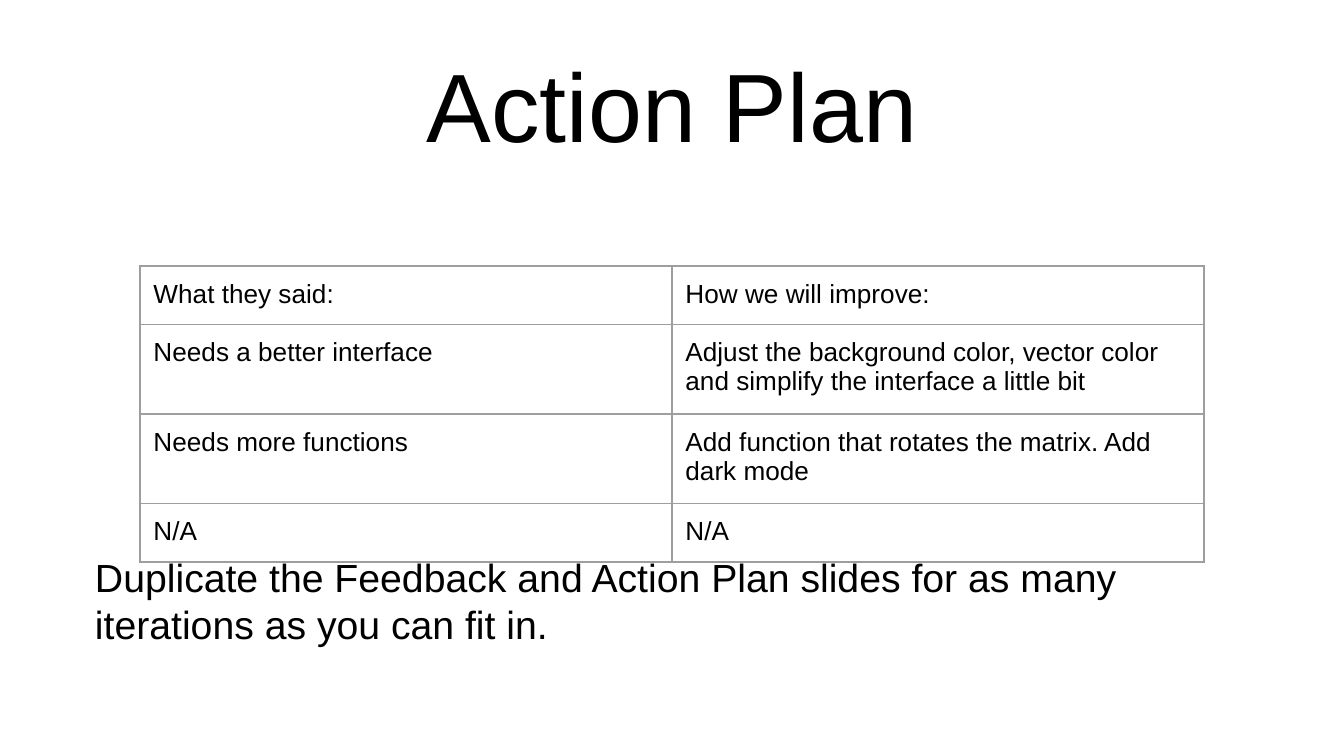
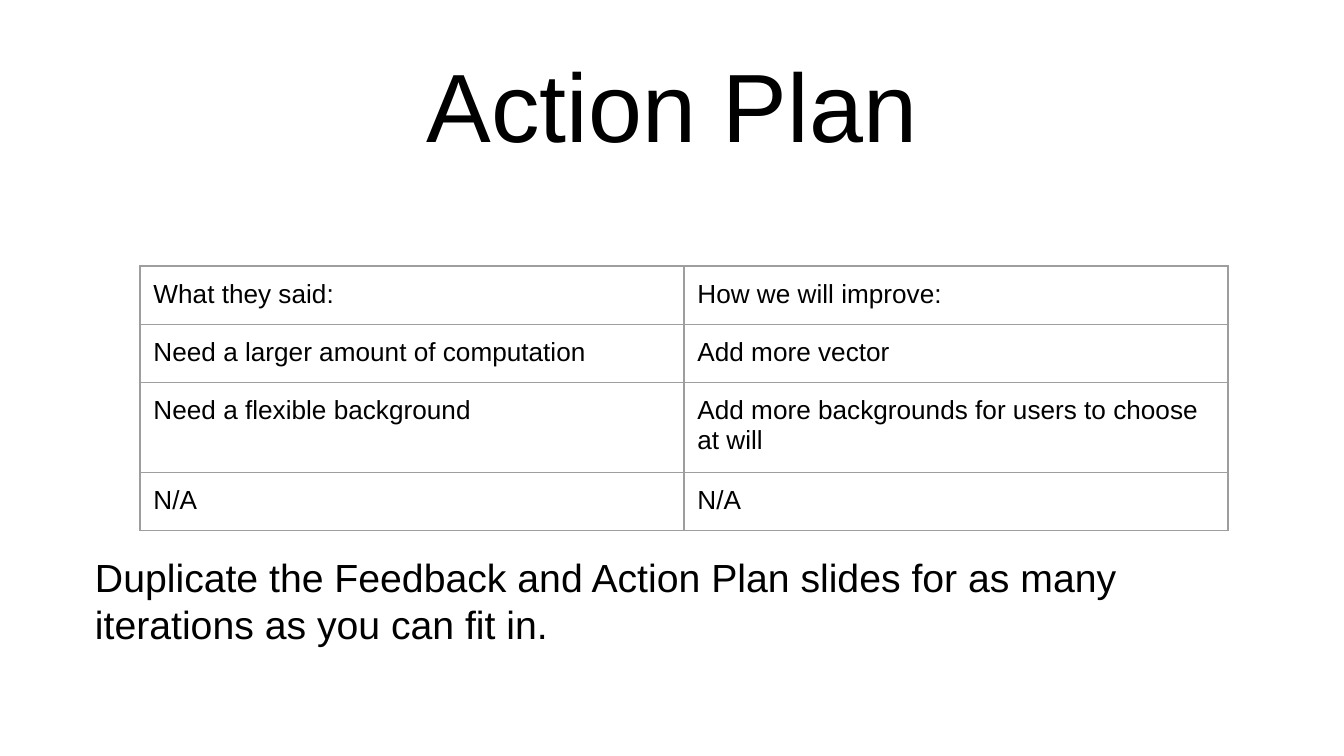
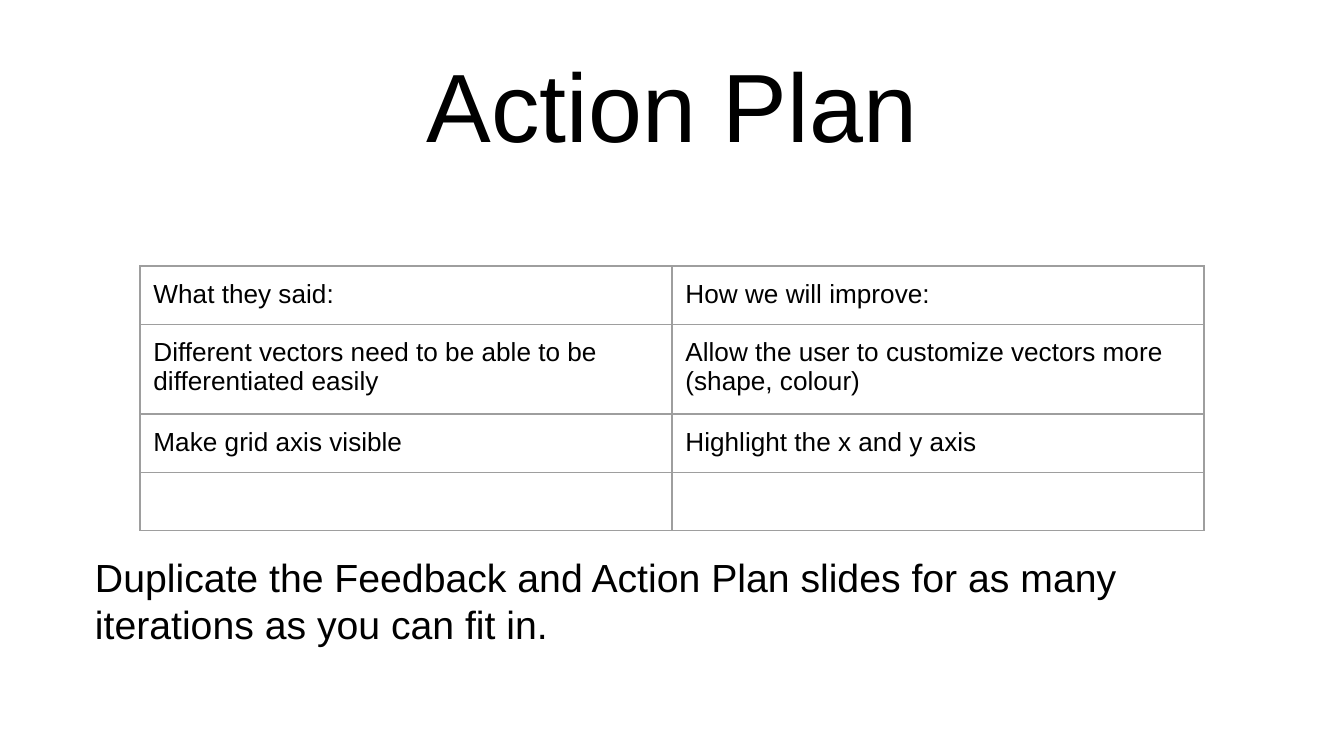
from lxml import etree
from pptx import Presentation
from pptx import util as u
from pptx.dml.color import RGBColor
from pptx.enum import text
from pptx.oxml.ns import qn

PX = 914400 / 134.4
INK, EDGE = "000000", "9E9E9E"
NOTE = "Duplicate the Feedback and Action Plan slides for as many iterations as you can fit in."
HEAD = ("What they said:", "How we will improve:")

# Column width and feedback rows of each slide
PLANS = [
    (532, [
        ("Needs a better interface",
         "Adjust the background color, vector color and simplify the interface a little bit"),
        ("Needs more functions",
         "Add function that rotates the matrix. Add dark mode"),
        ("N/A", "N/A"),
    ]),
    (544, [
        ("Need a larger amount of computation", "Add more vector"),
        ("Need a flexible background",
         "Add more backgrounds for users to choose at will"),
        ("N/A", "N/A"),
    ]),
    (532, [
        ("Different vectors need to be able to be differentiated easily",
         "Allow the user to customize vectors more (shape, colour)"),
        ("Make grid axis visible", "Highlight the x and y axis"),
        ("", ""),
    ]),
]


def px(*vals):
    return [u.Emu(round(v * PX)) for v in vals]


def style(para, words, size):
    para.text = words
    para.font.name = "Arial"
    para.font.size = u.Pt(size)
    para.font.color.rgb = RGBColor.from_string(INK)


deck = Presentation()
deck.slide_width, deck.slide_height = px(1344, 756)

for width, rows in PLANS:
    slide = deck.slides.add_slide(deck.slide_layouts[6])

    # Title and note
    for words, size, align, area in (
        ("Action Plan", 52, text.PP_ALIGN.CENTER, (98, 20, 1148, 168)),
        (NOTE, 21, text.PP_ALIGN.LEFT, (90, 513, 1156, 175)),
    ):
        frame = slide.shapes.add_textbox(*px(*area)).text_frame
        frame.word_wrap = True
        frame.vertical_anchor = text.MSO_ANCHOR.MIDDLE
        frame.margin_left, frame.margin_top, frame.margin_right, frame.margin_bottom = px(5, 5, 5, 5)
        para = frame.paragraphs[0]
        para.alignment = align
        style(para, words, size)

    # Feedback table; rows grow with their text
    lines = [HEAD] + rows
    table = slide.shapes.add_table(
        len(lines), 2, *px(140, 266, 2 * width, 56 * len(lines))).table
    table.first_row = table.horz_banding = False
    for r, line in enumerate(lines):
        for c, words in enumerate(line):
            cell = table.cell(r, c)
            para = cell.text_frame.paragraphs[0]
            style(para, words, 14)
            if not words:
                etree.SubElement(para._p, qn("a:endParaRPr"), sz="1400")
            cell.margin_left, cell.margin_top, cell.margin_right, cell.margin_bottom = [u.Inches(0.1)] * 4

            # Cell borders
            props = cell._tc.get_or_add_tcPr()
            for side in "LRTB":
                edge = etree.SubElement(props, qn("a:ln" + side), w=str(u.Pt(0.75)))
                fill = etree.SubElement(edge, qn("a:solidFill"))
                etree.SubElement(fill, qn("a:srgbClr"), val=EDGE)
            cell.fill.background()

deck.save("out.pptx")
